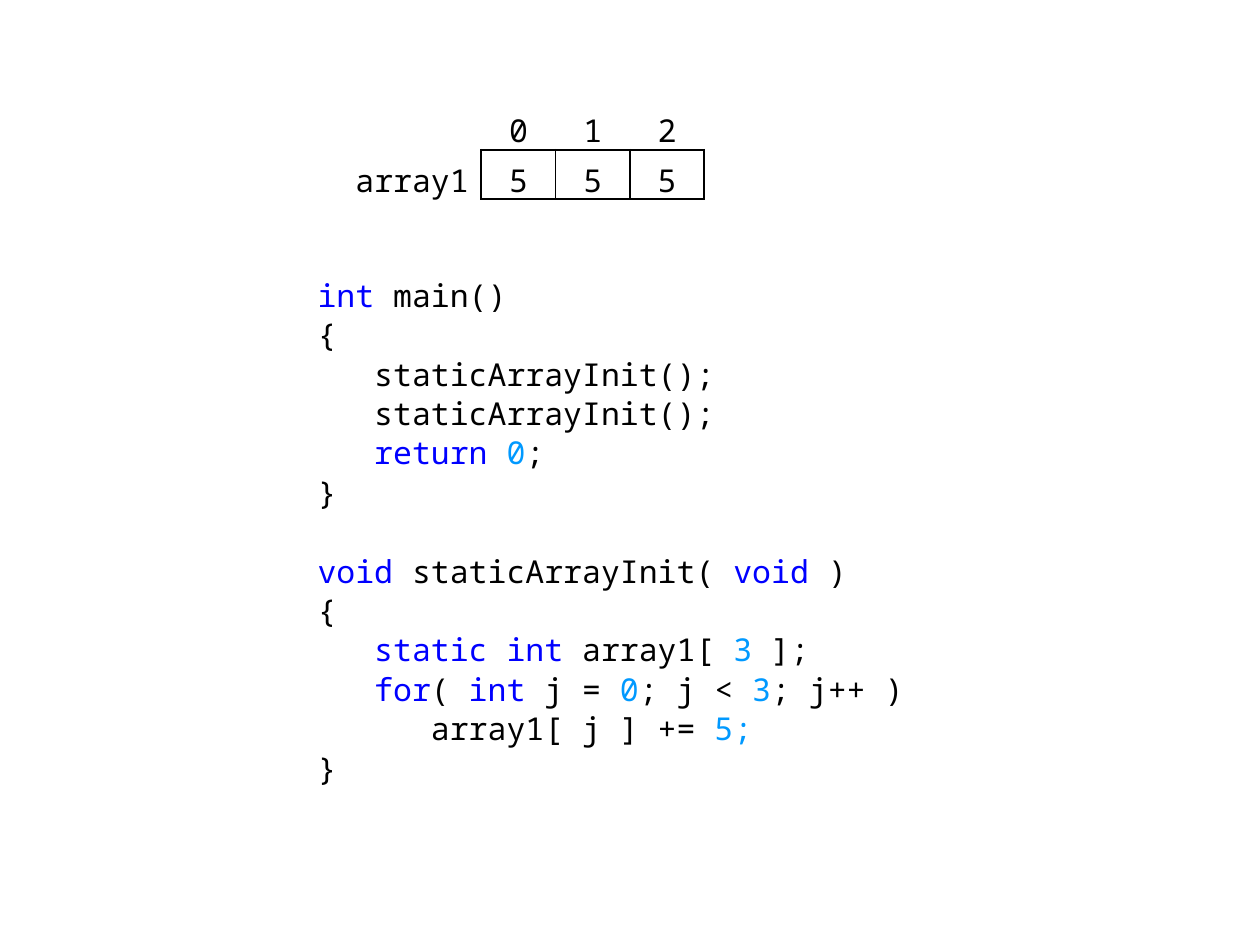
from dataclasses import dataclass

import pptx
import pptx.dml.color
import pptx.enum.text
import pptx.oxml
import pptx.oxml.ns
import pptx.util
from pptx.util import Inches, Pt


@dataclass(frozen=True)
class Theme:
    font: str = "Noto Sans Mono"
    size: float = 18
    text: str = "000000"
    keyword: str = "0000FF"
    number: str = "0099FF"
    thick: float = 1.5
    thin: float = 0.75


@dataclass(frozen=True)
class Token:
    text: str
    color: str


THEME = Theme()


def plain(text: str) -> Token:
    return Token(text, THEME.text)


def keyword(text: str) -> Token:
    return Token(text, THEME.keyword)


def number(text: str) -> Token:
    return Token(text, THEME.number)


MAIN_FUNCTION = [
    [keyword("int"), plain(" main()")],
    [plain("{")],
    [plain("   staticArrayInit();")],
    [plain("   staticArrayInit();")],
    [plain("   "), keyword("return "), number("0"), plain(";")],
    [plain("}")],
]
INIT_FUNCTION = [
    [keyword("void "), plain("staticArrayInit( "), keyword("void"), plain(" )")],
    [plain("{")],
    [plain("   "), keyword("static int "), plain("array1[ "), number("3"), plain(" ];")],
    [plain("   "), keyword("for"), plain("( "), keyword("int"), plain(" j = "),
     number("0"), plain("; j < "), number("3"), plain("; j++ )")],
    [plain("      array1[ j ] += "), number("5;")],
    [plain("}")],
]
ARRAY_ROWS = [["", "0", "1", "2"], ["array1", "5", "5", "5"]]
COLUMN_WIDTHS = [1.18, 0.59, 0.59, 0.59]
ROW_HEIGHT = 0.39
LINE_GAP = 0.9
FUNCTION_GAP = 23.4


def format_run(run, color: str) -> None:
    run.font.name = THEME.font
    run.font.size = Pt(THEME.size)
    run.font.color.rgb = pptx.dml.color.RGBColor.from_string(color)


def add_code(slide, functions: list[list[list[Token]]]) -> None:
    box = slide.shapes.add_textbox(Inches(2.44), Inches(2.17), Inches(5.12), Inches(4.13))
    frame = box.text_frame
    frame.word_wrap = True
    frame.margin_left = frame.margin_right = Inches(0.08)
    frame.margin_top = frame.margin_bottom = Inches(0.02)
    paragraph = frame.paragraphs[0]
    for function_index, lines in enumerate(functions):
        for line_index, tokens in enumerate(lines):
            if function_index or line_index:
                paragraph = frame.add_paragraph()
                paragraph.space_before = Pt(LINE_GAP if line_index else FUNCTION_GAP)
            for token in tokens:
                run = paragraph.add_run()
                run.text = token.text
                format_run(run, token.color)


def set_borders(cell, widths: dict[str, float]) -> None:
    """Draw the named sides (L, R, T, B) in the given points and hide the others."""
    properties = cell._tc.get_or_add_tcPr()
    namespace = pptx.oxml.ns.nsdecls("a")
    for position, side in enumerate("LRTB"):
        width = widths.get(side, 0)
        fill = f'<a:solidFill><a:srgbClr val="{THEME.text}"/></a:solidFill>' if width else "<a:noFill/>"
        line = pptx.oxml.parse_xml(f'<a:ln{side} {namespace} w="{Pt(width)}">{fill}</a:ln{side}>')
        properties.insert(position, line)


def cell_borders(row: int, column: int) -> dict[str, float]:
    """Frame the array values thickly, with thin lines between them."""
    last_column = len(COLUMN_WIDTHS) - 1
    if row == 0:
        return {"B": THEME.thick} if column else {}
    if column == 0:
        return {"R": THEME.thick}
    return {
        "L": THEME.thick if column == 1 else THEME.thin,
        "R": THEME.thick if column == last_column else THEME.thin,
        "T": THEME.thick,
        "B": THEME.thick,
    }


def add_array_table(slide) -> None:
    alignment = pptx.enum.text.PP_ALIGN
    table = slide.shapes.add_table(
        len(ARRAY_ROWS), len(COLUMN_WIDTHS), Inches(2.64), Inches(0.8),
        Inches(sum(COLUMN_WIDTHS)), Inches(ROW_HEIGHT * len(ARRAY_ROWS)),
    ).table
    table.first_row = table.horz_banding = False
    for column, width in zip(table.columns, COLUMN_WIDTHS):
        column.width = Inches(width)
    for row_index, values in enumerate(ARRAY_ROWS):
        table.rows[row_index].height = Inches(ROW_HEIGHT)
        for column_index, value in enumerate(values):
            cell = table.cell(row_index, column_index)
            cell.fill.background()
            cell.margin_top = cell.margin_bottom = 0
            cell.vertical_anchor = pptx.enum.text.MSO_ANCHOR.MIDDLE
            set_borders(cell, cell_borders(row_index, column_index))
            paragraph = cell.text_frame.paragraphs[0]
            paragraph.text = value
            paragraph.alignment = alignment.CENTER if column_index else alignment.RIGHT
            paragraph.line_spacing = 1.2
            for run in paragraph.runs:
                format_run(run, THEME.text)


def main() -> None:
    presentation = pptx.Presentation()
    presentation.slide_width = Inches(10)
    presentation.slide_height = Inches(7.5)
    slide = presentation.slides.add_slide(presentation.slide_layouts[6])
    add_code(slide, [MAIN_FUNCTION, INIT_FUNCTION])
    add_array_table(slide)
    presentation.save("out.pptx")


if __name__ == "__main__":
    main()
